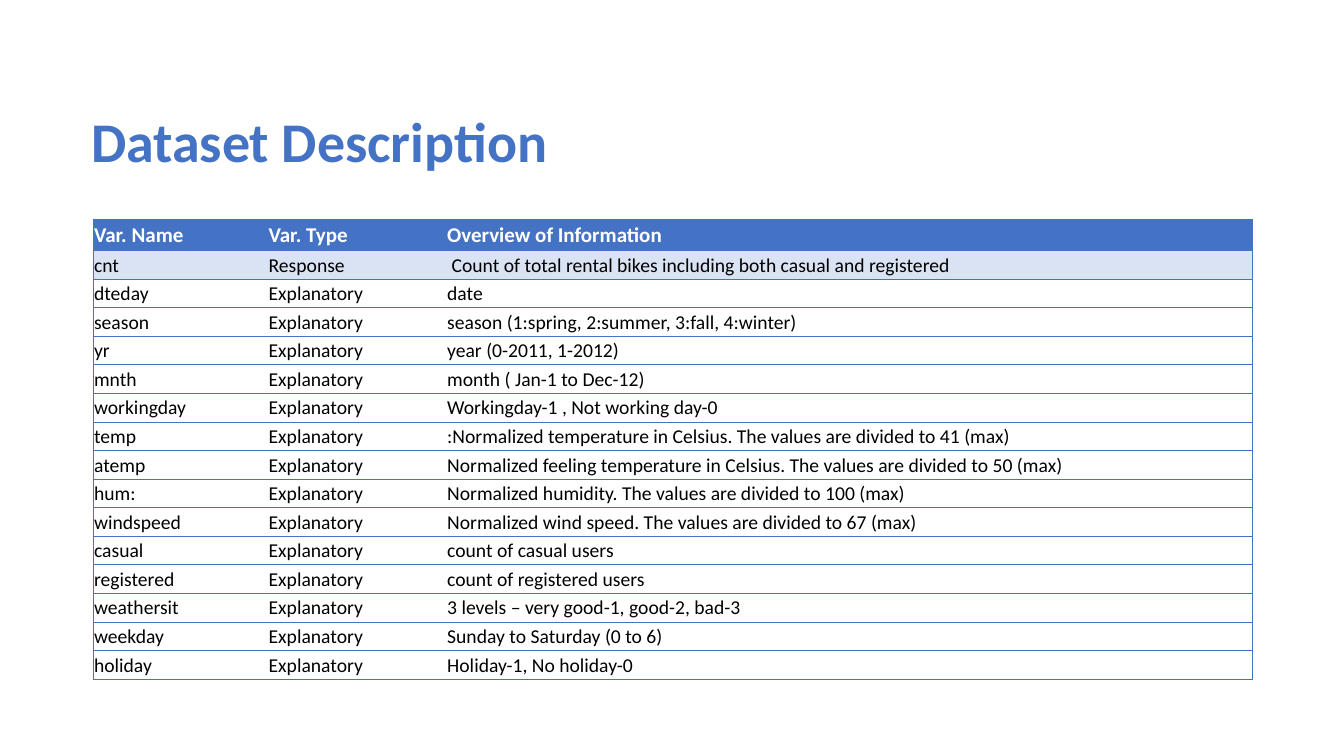
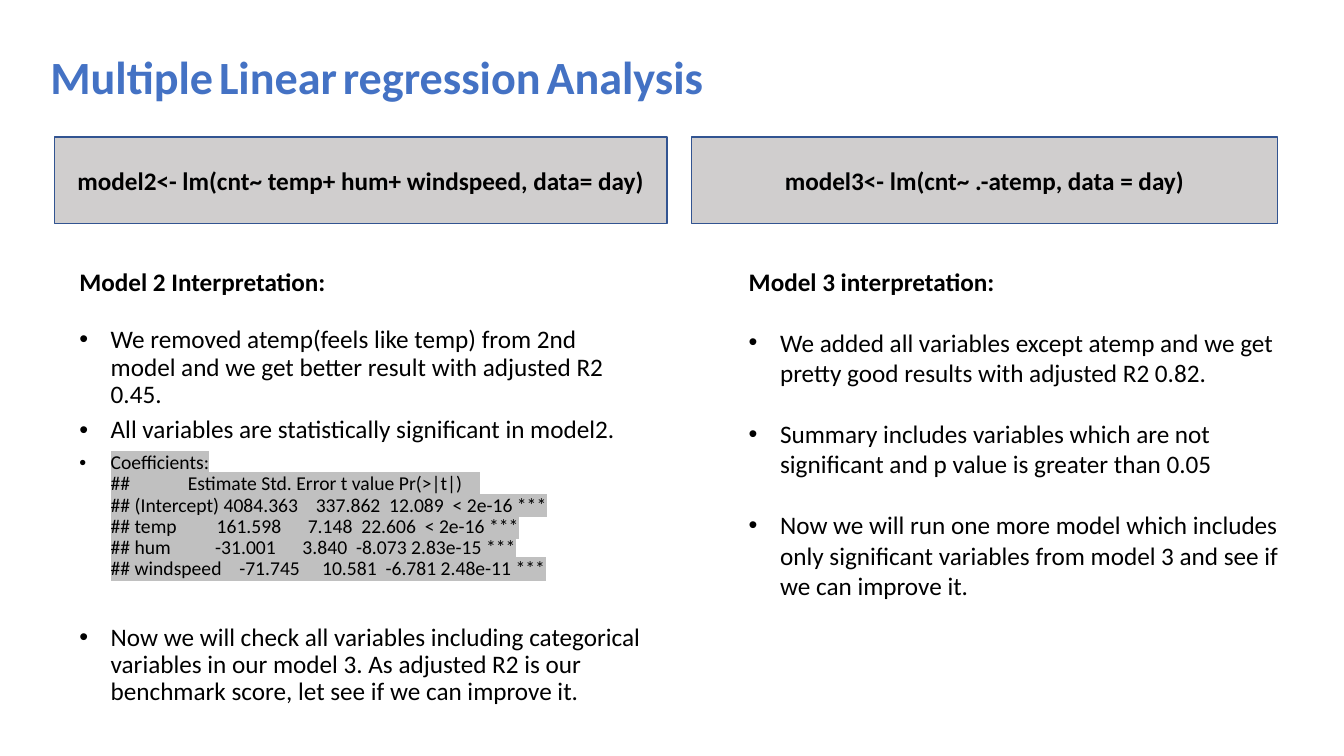
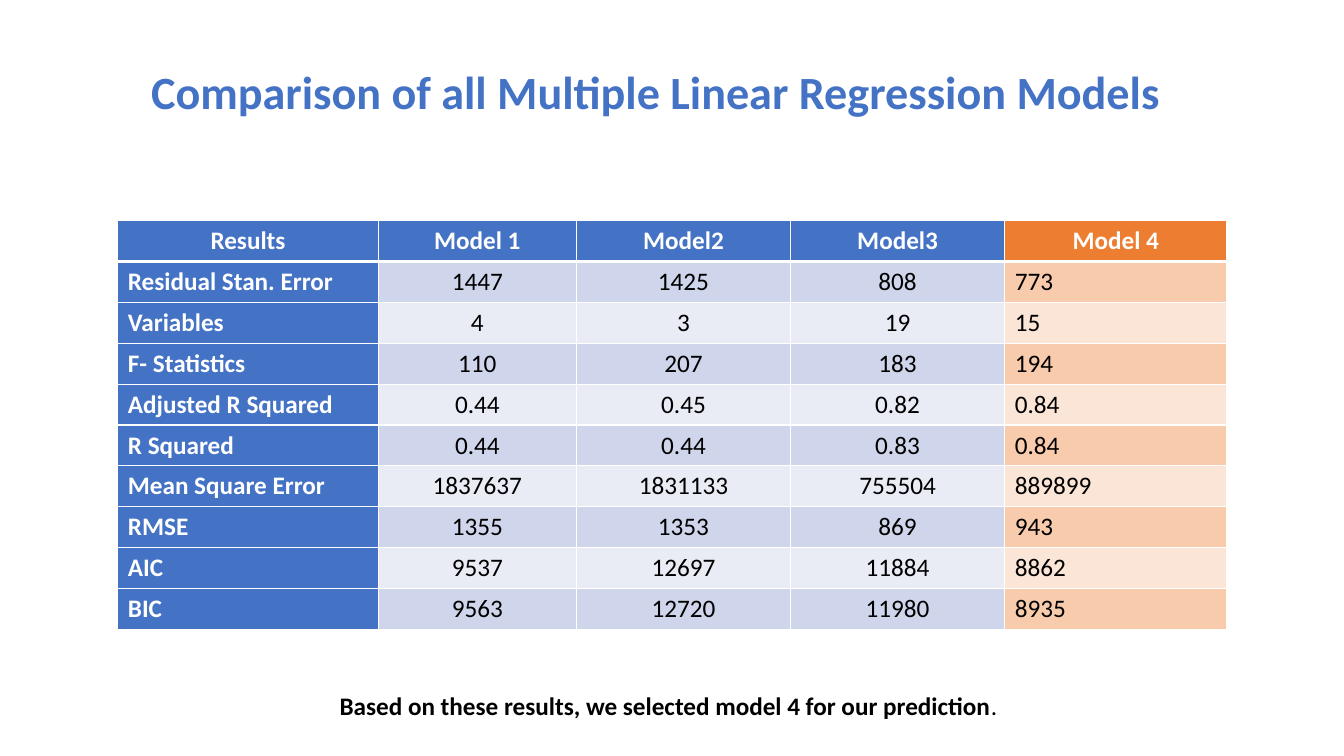
from dataclasses import dataclass

import lxml.etree
import pptx
import pptx.dml.color
import pptx.enum.shapes
import pptx.enum.text
import pptx.oxml.ns
import pptx.slide
import pptx.table
import pptx.text.text
import pptx.util

Cm, Pt = pptx.util.Cm, pptx.util.Pt
ALIGN = pptx.enum.text.PP_ALIGN
ANCHOR = pptx.enum.text.MSO_ANCHOR
FONT = "Calibri"
HUES = {
    "blue": "4472C4", "ink": "000000", "white": "FFFFFF", "pale": "DAE3F3",
    "gray": "D0CECE", "edge": "325491", "mark": "C0C0C0", "orange": "ED7D31",
    "blue_dark": "CFD5EA", "blue_light": "E9EBF5",
    "warm_dark": "F8CBAD", "warm_light": "FBE5D6",
}


@dataclass
class Box:
    """Place and size in centimetres."""
    left: float
    top: float
    width: float
    height: float

    def spots(self) -> list[pptx.util.Length]:
        """Give the four lengths in order."""
        return [Cm(n) for n in (self.left, self.top, self.width, self.height)]


@dataclass
class Para:
    """One paragraph and its style."""
    text: str
    size: float = 18
    bold: bool = False
    hue: str = "ink"
    align: ALIGN = ALIGN.LEFT
    bullet: bool = False
    line: float = 1
    before: float = 0
    after: float = 0
    mark: bool = False


@dataclass
class Edge:
    """Cell border; no width means no line."""
    hue: str
    width: float


def shade(name: str) -> pptx.dml.color.RGBColor:
    """Look up a named colour."""
    return pptx.dml.color.RGBColor.from_string(HUES[name])


def node(root: lxml.etree._Element, tag: str, **traits: str) -> lxml.etree._Element:
    """Add a drawing element below root."""
    return lxml.etree.SubElement(root, pptx.oxml.ns.qn(f"a:{tag}"), **traits)


def write(para: pptx.text.text._Paragraph, item: Para) -> None:
    """Fill a paragraph with styled text."""
    para.text = item.text
    if item.bullet:
        props = para._p.get_or_add_pPr()
        props.set("marL", str(Cm(0.79)))
        props.set("indent", str(Cm(-0.79)))
        node(props, "buFont", typeface="Arial")
        node(props, "buChar", char="•")
    para.alignment = item.align
    para.line_spacing = item.line
    para.space_before, para.space_after = Pt(item.before), Pt(item.after)
    font = para.font
    font.name, font.size, font.bold = FONT, Pt(item.size), item.bold
    font.color.rgb = shade(item.hue)
    if item.mark:
        for run in para.runs:
            light = node(run._r.get_or_add_rPr(), "highlight")
            node(light, "srgbClr", val=HUES["mark"])


def fill_frame(frame: pptx.text.text.TextFrame, items: list[Para],
               anchor: ANCHOR) -> None:
    """Write all paragraphs into a wrapped frame."""
    frame.word_wrap = True
    frame.vertical_anchor = anchor
    for i, item in enumerate(items):
        write(frame.add_paragraph() if i else frame.paragraphs[0], item)


def add_text(slide: pptx.slide.Slide, box: Box, items: list[Para],
             anchor: ANCHOR = ANCHOR.TOP) -> pptx.text.text.TextFrame:
    """Add a text box."""
    frame = slide.shapes.add_textbox(*box.spots()).text_frame
    fill_frame(frame, items, anchor)
    return frame


def add_run(para: pptx.text.text._Paragraph, text: str, size: float = 0) -> None:
    """Add a run; a size makes it a plain gap."""
    run = para.add_run()
    run.text = text
    if size:
        run.font.size, run.font.bold = Pt(size), False


def add_title(slide: pptx.slide.Slide, box: Box, text: str, size: float = 33,
              align: ALIGN = ALIGN.LEFT,
              anchor: ANCHOR = ANCHOR.TOP) -> pptx.text.text._Paragraph:
    """Add a bold blue title."""
    item = Para(text, size, True, "blue", align)
    return add_text(slide, box, [item], anchor).paragraphs[0]


def add_panel(slide: pptx.slide.Slide, box: Box, text: str) -> None:
    """Add a gray box with a model call."""
    panel = slide.shapes.add_shape(
        pptx.enum.shapes.MSO_SHAPE.RECTANGLE, *box.spots())
    panel.shadow.inherit = False
    panel.fill.solid()
    panel.fill.fore_color.rgb = shade("gray")
    panel.line.color.rgb = shade("edge")
    panel.line.width = Pt(1)
    fill_frame(panel.text_frame, [Para(text, bold=True, align=ALIGN.CENTER)],
               ANCHOR.MIDDLE)


def add_grid(slide: pptx.slide.Slide, box: Box, widths: list[float],
             heights: list[float]) -> pptx.table.Table:
    """Add a plain table with set columns and rows."""
    grid = slide.shapes.add_table(
        len(heights), len(widths), *box.spots()).table
    grid.first_row = grid.horz_banding = False
    for col, width in zip(grid.columns, widths):
        col.width = Cm(width)
    for row, height in zip(grid.rows, heights):
        row.height = Cm(height)
    return grid


def set_cell(cell: pptx.table._Cell, item: Para, fill: str | None,
             edges: dict[str, Edge]) -> None:
    """Set the text, borders and fill of a cell."""
    write(cell.text_frame.paragraphs[0], item)
    props = cell._tc.get_or_add_tcPr()
    for side in "LRTB":
        edge = edges[side]
        line = node(props, f"ln{side}", w=str(Pt(edge.width)))
        if edge.width:
            node(node(line, "solidFill"), "srgbClr", val=HUES[edge.hue])
        else:
            node(line, "noFill")
    if fill:
        cell.fill.solid()
        cell.fill.fore_color.rgb = shade(fill)
    else:
        cell.fill.background()


FIELDS = [
    ("Var. Name", "Var. Type", "Overview of Information"),
    ("cnt", "Response",
     " Count of total rental bikes including both casual and registered"),
] + [(name, "Explanatory", note) for name, note in (
    ("dteday", "date"),
    ("season", "season (1:spring, 2:summer, 3:fall, 4:winter)"),
    ("yr", "year (0-2011, 1-2012)"),
    ("mnth", "month ( Jan-1 to Dec-12)"),
    ("workingday", "Workingday-1 , Not working day-0"),
    ("temp", ":Normalized temperature in Celsius. The values are divided to 41 (max)"),
    ("atemp", "Normalized feeling temperature in Celsius. "
              "The values are divided to 50 (max)"),
    ("hum:", "Normalized humidity. The values are divided to 100 (max)"),
    ("windspeed", "Normalized wind speed. The values are divided to 67 (max)"),
    ("casual", "count of casual users"),
    ("registered", "count of registered users"),
    ("weathersit", "3 levels – very good-1, good-2, bad-3"),
    ("weekday", "Sunday to Saturday (0 to 6)"),
    ("holiday", "Holiday-1, No holiday-0"),
)]

TERMS = [
    ("", "Estimate", "Std. Error", "t value", "Pr(>|t|)", ""),
    ("(Intercept)", "4084.363", "337.862", "12.089", "< 2e-16", "***"),
    ("temp", "161.598", "7.148", "22.606", "< 2e-16", "***"),
    ("hum", "-31.001", "3.840", "-8.073", "2.83e-15", "***"),
    ("windspeed", "-71.745", "10.581", "-6.781", "2.48e-11", "***"),
]

SCORES = [
    ("Results", "Model 1", "Model2", "Model3", "Model 4"),
    ("Residual Stan. Error", "1447", "1425", "808", "773"),
    ("Variables", "4", "3", "19", "15"),
    ("F- Statistics", "110", "207", "183", "194"),
    ("Adjusted R Squared", "0.44", "0.45", "0.82", "0.84"),
    ("R Squared", "0.44", "0.44", "0.83", "0.84"),
    ("Mean Square Error", "1837637", "1831133", "755504", "889899"),
    ("RMSE", "1355", "1353", "869", "943"),
    ("AIC", "9537", "12697", "11884", "8862"),
    ("BIC", "9563", "12720", "11980", "8935"),
]


def draw_data(slide: pptx.slide.Slide) -> None:
    """Draw the list of data fields."""
    add_title(slide, Box(0.69, 1.91, 14.71, 2.59), "Dataset Description", 40,
              ALIGN.CENTER, ANCHOR.BOTTOM)
    heights = [0.78] + [0.72] * (len(FIELDS) - 1)
    grid = add_grid(slide, Box(2.34, 5.53, 29.21, 11.6),
                    [4.4, 4.5, 20.33], heights)
    rule, none = Edge("blue", 0.5), Edge("blue", 0)
    for r, texts in enumerate(FIELDS):
        fill = {0: "blue", 1: "pale"}.get(r)
        for c, text in enumerate(texts):
            cell = grid.cell(r, c)
            cell.margin_left = cell.margin_right = cell.margin_top = Cm(0.03)
            cell.margin_bottom = 0
            cell.vertical_anchor = ANCHOR.MIDDLE
            item = Para(text, 14) if r else Para(text, 15, True, "white")
            set_cell(cell, item, fill, {
                "L": none if c else rule,
                "R": rule if c == len(texts) - 1 else none,
                "T": rule, "B": rule})


def draw_models(slide: pptx.slide.Slide) -> None:
    """Draw models 2 and 3 side by side."""
    first, *rest = "Multiple Linear regression Analysis".split()
    title = add_title(slide, Box(1.02, 1.09, 27.56, 1.68), first)
    for word in rest:
        add_run(title, " ", 18)
        add_run(title, word)
    add_panel(slide, Box(1.37, 3.45, 15.44, 2.18),
              "model2<- lm(cnt~ temp+ hum+ windspeed, data= day)")
    add_panel(slide, Box(17.42, 3.45, 14.78, 2.18),
              "model3<- lm(cnt~ .-atemp, data = day)")

    output = "\n".join(["Coefficients:"] + [
        f"## {name:<11}{value:>9}{error:>11}{ratio:>8}{chance:>9} {stars:<3}"
        for name, value, error, ratio, chance, stars in TERMS])
    tight = {"bullet": True, "line": 0.9, "after": 6}
    add_text(slide, Box(1.75, 6.58, 14.71, 11.43), [
        Para("Model 2 Interpretation:", bold=True),
        Para("We removed atemp(feels like temp) from 2nd model and we get "
             "better result with adjusted R2 0.45.", before=22, **tight),
        Para("All variables are statistically significant in model2.", **tight),
        Para(output, 14, mark=True, **tight),
        Para("Now we will check all variables including categorical variables "
             "in our model 3. As adjusted R2 is our benchmark score, let see "
             "if we can improve it.", before=26, **tight),
    ])
    add_text(slide, Box(18.62, 6.58, 13.92, 11.79), [
        Para("Model 3 interpretation:", bold=True)] + [
        Para(text, bullet=True, before=22) for text in (
            "We added all variables except atemp and we get pretty good "
            "results with adjusted R2 0.82.",
            "Summary includes variables which are not significant and p value "
            "is greater than 0.05",
            "Now we will run one more model which includes only significant "
            "variables from model 3 and see if we can improve it.")])


def draw_scores(slide: pptx.slide.Slide) -> None:
    """Draw the table that compares all models."""
    add_title(slide, Box(3.56, 1.47, 28.58, 1.68),
              "Comparison of all Multiple Linear Regression Models")
    note = add_text(slide, Box(8.31, 17.27, 17.86, 1.02), [
        Para("Based on these results, we selected model 4 for our prediction",
             bold=True)])
    add_run(note.paragraphs[0], ".", 18)
    grid = add_grid(slide, Box(2.97, 5.56, 27.94, 10.3),
                    [6.56, 5.0, 5.39, 5.4, 5.6], [1.03] * len(SCORES))
    thin, thick = Edge("white", 1), Edge("white", 3)
    for r, texts in enumerate(SCORES):
        tone = "dark" if r % 2 else "light"
        for c, text in enumerate(texts):
            best = c == len(texts) - 1
            head = r == 0 or c == 0
            if head:
                fill = "orange" if best else "blue"
            else:
                fill = f"warm_{tone}" if best else f"blue_{tone}"
            side = r > 0 and (c == 0 or best)
            item = Para(text, bold=head, hue="white" if head else "ink",
                        align=ALIGN.LEFT if side else ALIGN.CENTER)
            set_cell(grid.cell(r, c), item, fill, {
                "L": thin, "R": thin,
                "T": thick if r == 1 else thin,
                "B": thin if r else thick})


def main() -> None:
    """Build and save the deck."""
    deck = pptx.Presentation()
    deck.slide_width, deck.slide_height = Cm(33.87), Cm(19.05)
    for draw in (draw_data, draw_models, draw_scores):
        draw(deck.slides.add_slide(deck.slide_layouts[6]))
    deck.save("out.pptx")


main()
